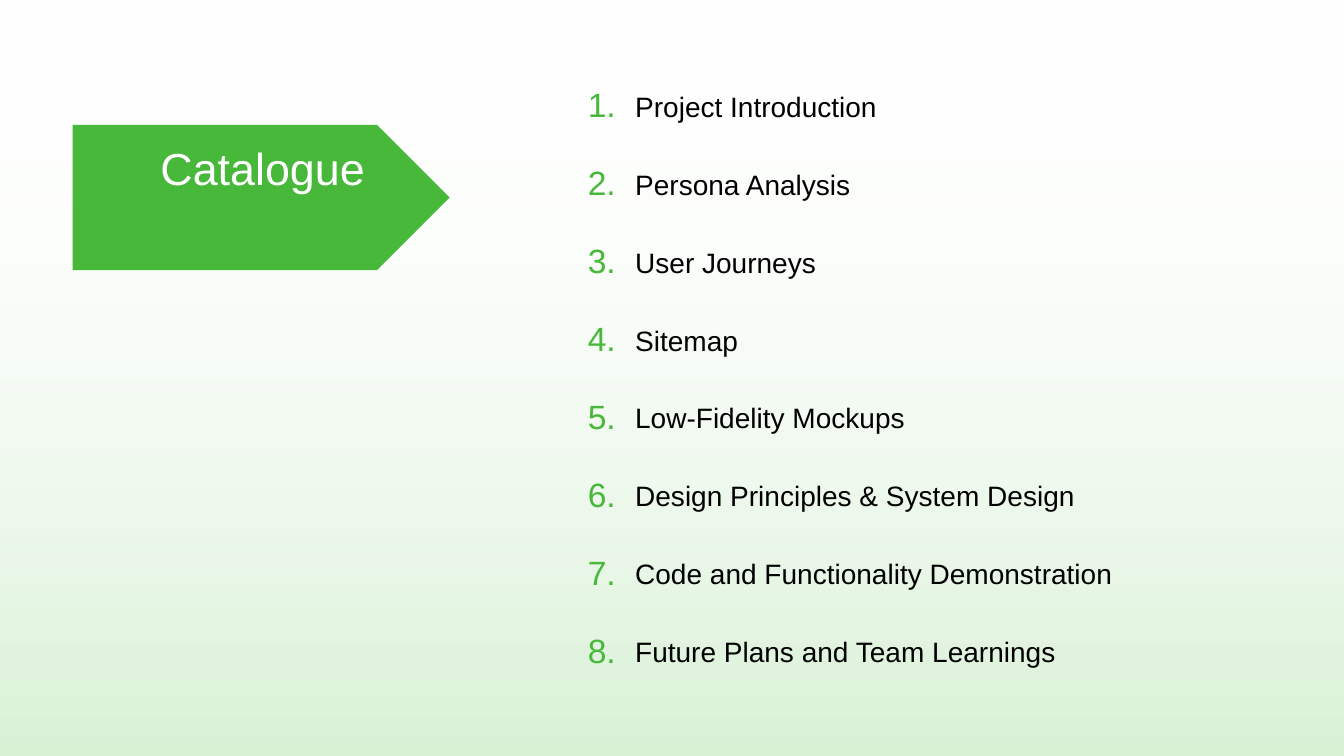
from dataclasses import dataclass

from lxml import etree
from pptx import Presentation
from pptx.dml.color import RGBColor
from pptx.enum.shapes import MSO_SHAPE
from pptx.enum.text import MSO_ANCHOR, PP_ALIGN
from pptx.oxml.ns import qn
from pptx.shapes.autoshape import Shape
from pptx.slide import Slide
from pptx.util import Inches, Pt

RECTANGLE = MSO_SHAPE.RECTANGLE
PENTAGON = MSO_SHAPE.PENTAGON
TOP, MIDDLE = MSO_ANCHOR.TOP, MSO_ANCHOR.MIDDLE
LEFT, RIGHT = PP_ALIGN.LEFT, PP_ALIGN.RIGHT

WHITE = RGBColor(0xFF, 0xFF, 0xFF)
BLACK = RGBColor(0x00, 0x00, 0x00)
GREEN = RGBColor(0x47, 0xB8, 0x3A)
PALE_GREEN = RGBColor(0xD9, 0xF2, 0xD6)

SLIDE_WIDTH, SLIDE_HEIGHT = 13.33, 7.5
FIRST_TOP, LAST_TOP = 0.82, 6.23
CHAPTERS = (
    "Project Introduction",
    "Persona Analysis",
    "User Journeys",
    "Sitemap",
    "Low-Fidelity Mockups",
    "Design Principles & System Design",
    "Code and Functionality Demonstration",
    "Future Plans and Team Learnings",
)


@dataclass(frozen=True)
class Box:
    left: float
    top: float
    width: float
    height: float


@dataclass(frozen=True)
class TextStyle:
    size: int
    color: RGBColor
    anchor: MSO_ANCHOR = MIDDLE
    alignment: PP_ALIGN = LEFT
    line_spacing: float = 1.0


TITLE_STYLE = TextStyle(32, WHITE, alignment=RIGHT, line_spacing=1.1)
NUMBER_STYLE = TextStyle(24, GREEN)
CHAPTER_STYLE = TextStyle(20, BLACK, anchor=TOP, line_spacing=1.2)


def add_plain_shape(slide: Slide, kind: MSO_SHAPE, box: Box) -> Shape:
    """Add a preset shape without outline or shadow."""
    shape = slide.shapes.add_shape(
        kind, Inches(box.left), Inches(box.top), Inches(box.width), Inches(box.height)
    )
    shape.shadow.inherit = False
    shape.line.fill.background()
    return shape


def add_backdrop(slide: Slide) -> None:
    """Cover the slide with a fade from transparent white to pale green."""
    backdrop = add_plain_shape(slide, RECTANGLE, Box(0, 0, SLIDE_WIDTH, SLIDE_HEIGHT))
    backdrop.fill.gradient()
    backdrop.fill.gradient_angle = 270
    for stop, color, position in zip(
        backdrop.fill.gradient_stops, (WHITE, PALE_GREEN), (0, 1)
    ):
        stop.color.rgb = color
        stop.position = position
    first_color = next(backdrop.element.iter(qn("a:srgbClr")))
    etree.SubElement(first_color, qn("a:alpha"), val="0")


def add_text(slide: Slide, text: str, box: Box, style: TextStyle) -> None:
    text_box = slide.shapes.add_textbox(
        Inches(box.left), Inches(box.top), Inches(box.width), Inches(box.height)
    )
    frame = text_box.text_frame
    frame.word_wrap = True
    frame.vertical_anchor = style.anchor
    frame.margin_left = frame.margin_right = Inches(0)
    frame.margin_top = frame.margin_bottom = Inches(0)
    paragraph = frame.paragraphs[0]
    paragraph.text = text
    paragraph.alignment = style.alignment
    paragraph.line_spacing = style.line_spacing
    paragraph.font.name = "Arial"
    paragraph.font.size = Pt(style.size)
    paragraph.font.color.rgb = style.color


def main() -> None:
    presentation = Presentation()
    presentation.slide_width = Inches(SLIDE_WIDTH)
    presentation.slide_height = Inches(SLIDE_HEIGHT)
    slide = presentation.slides.add_slide(presentation.slide_layouts[6])

    add_backdrop(slide)
    banner = add_plain_shape(slide, PENTAGON, Box(0.72, 1.24, 3.74, 1.44))
    banner.fill.solid()
    banner.fill.fore_color.rgb = GREEN
    add_text(slide, "Catalogue", Box(0.99, 1.38, 2.63, 0.51), TITLE_STYLE)

    pitch = (LAST_TOP - FIRST_TOP) / (len(CHAPTERS) - 1)
    for index, chapter in enumerate(CHAPTERS):
        top = FIRST_TOP + index * pitch
        add_text(slide, f"{index + 1}.", Box(5.83, top, 0.39, 0.43), NUMBER_STYLE)
        add_text(slide, chapter, Box(6.3, top, 6.3, 0.59), CHAPTER_STYLE)

    presentation.save("out.pptx")


if __name__ == "__main__":
    main()
